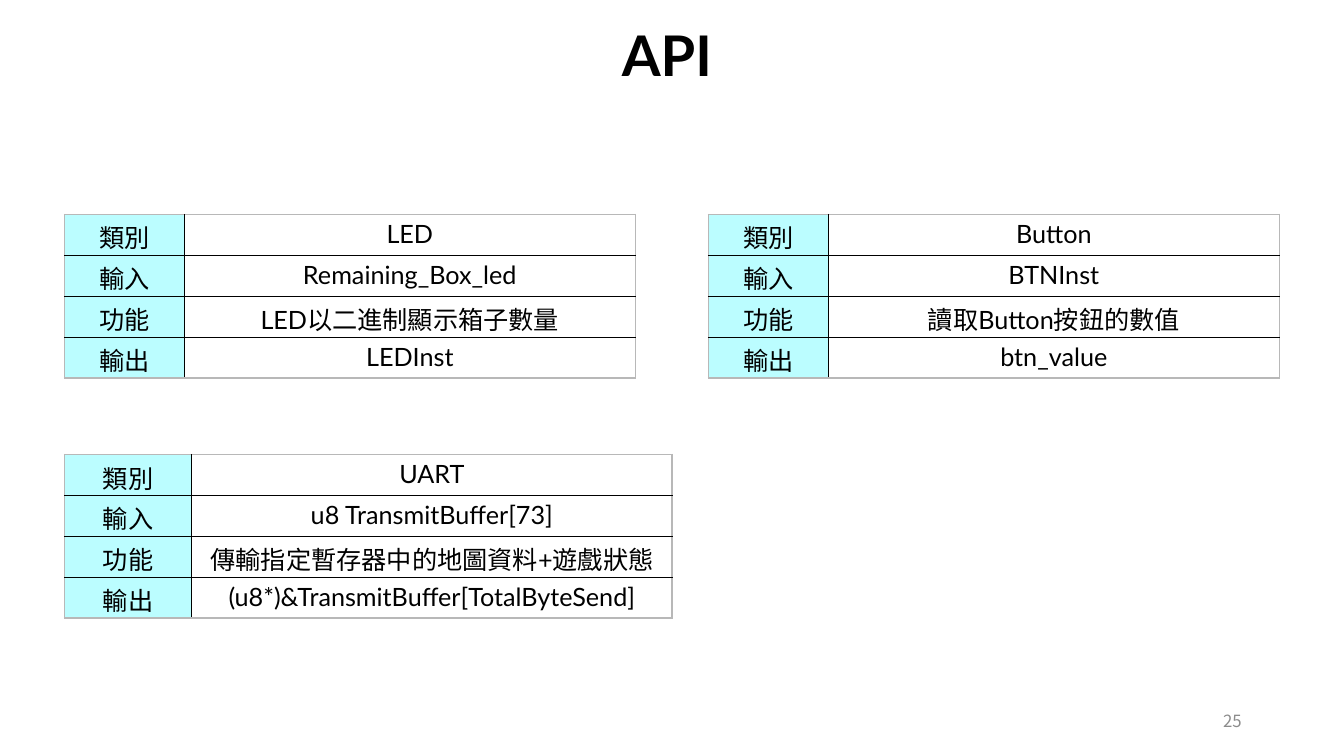
from lxml import etree
from pptx import Presentation
from pptx import util as u
from pptx.dml.color import RGBColor
from pptx.enum import text
from pptx.oxml import ns

COLORS = {"ink": "000000", "page_number": "8C8C8C", "label": "BBFDFF",
          "paper": "FFFFFF", "rim": "B8B8B8"}
LATIN, CJK = "Lato", "Noto Sans CJK TC"
LABELS = ("類別", "輸入", "功能", "輸出")
ROW_HEIGHT = 29.2
FRAME = {"margin_left": u.Pt(7.2), "margin_right": u.Pt(7.2),
         "margin_top": u.Pt(3.6), "margin_bottom": u.Pt(3.6),
         "vertical_anchor": text.MSO_ANCHOR.MIDDLE}
CELL = {"margin_left": u.Pt(6), "margin_right": u.Pt(6),
        "margin_top": u.Pt(3), "margin_bottom": 0,
        "vertical_anchor": text.MSO_ANCHOR.TOP}
APIS = (
    (46, 153.2, (85.5, 322.5),
     ("LED", "Remaining_Box_led", "LED以二進制顯示箱子數量", "LEDInst")),
    (506, 153.2, (85.5, 322.5),
     ("Button", "BTNInst", "讀取Button按鈕的數值", "btn_value")),
    (46, 324.7, (91, 343),
     ("UART", "u8 TransmitBuffer[73]", "傳輸指定暫存器中的地圖資料+遊戲狀態",
      "(u8*)&TransmitBuffer[TotalByteSend]")),
)


def apply_format(target, values):
    """Set every attribute in values on target."""
    for name, value in values.items():
        setattr(target, name, value)


def write(frame, words, align, size, color="ink", latin=LATIN, bold=False):
    """Write one formatted paragraph into a text frame."""
    paragraph = frame.paragraphs[0]
    paragraph.alignment = align
    run = paragraph.add_run()
    run.text = words
    apply_format(run.font, {"name": latin, "size": u.Pt(size), "bold": bold})
    run.font.color.rgb = RGBColor.from_string(COLORS[color])
    east_asian = etree.SubElement(run.font._element, ns.qn("a:ea"))
    east_asian.set("typeface", CJK)


def add_borders(cell, edge_colors):
    """Draw the left, right, top and bottom borders of a cell."""
    properties = cell._tc.get_or_add_tcPr()
    for index, (side, color) in enumerate(zip("LRTB", edge_colors)):
        line = etree.Element(ns.qn(f"a:ln{side}"), w=str(u.Pt(1)))
        fill = etree.SubElement(line, ns.qn("a:solidFill"))
        etree.SubElement(fill, ns.qn("a:srgbClr"), val=COLORS[color])
        properties.insert(index, line)


def add_title(slide, words):
    """Place the slide title."""
    title = slide.shapes.title
    apply_format(title, {"left": u.Pt(437), "top": u.Pt(10.8),
                         "width": u.Pt(85), "height": u.Pt(55.4)})
    apply_format(title.text_frame, {
        **FRAME, "word_wrap": False, "auto_size": text.MSO_AUTO_SIZE.NONE})
    write(title.text_frame, words, text.PP_ALIGN.LEFT, 40, bold=True)


def add_page_number(slide, number):
    """Place the page number at the lower right."""
    page = slide.shapes.add_textbox(u.Pt(678), u.Pt(500.4), u.Pt(216), u.Pt(28.8))
    apply_format(page.text_frame, {**FRAME, "word_wrap": True})
    write(page.text_frame, number, text.PP_ALIGN.RIGHT, 12, "page_number", CJK)


def add_api_table(slide, left, top, widths, entries):
    """Add one table of labels and API entries."""
    count = len(LABELS)
    table = slide.shapes.add_table(
        count, 2, u.Pt(left), u.Pt(top),
        u.Pt(sum(widths)), u.Pt(ROW_HEIGHT * count)).table
    apply_format(table, {"first_row": False, "horz_banding": False})
    for column, width in zip(table.columns, widths):
        column.width = u.Pt(width)
    for row, pair in enumerate(zip(LABELS, entries)):
        table.rows[row].height = u.Pt(ROW_HEIGHT)
        for column, words in enumerate(pair):
            cell = table.cell(row, column)
            apply_format(cell, CELL)
            cell.fill.solid()
            fill = "paper" if column else "label"
            cell.fill.fore_color.rgb = RGBColor.from_string(COLORS[fill])
            outside = (column == 0, column == 1, row == 0, row == count - 1)
            add_borders(cell, ["rim" if edge else "ink" for edge in outside])
            write(cell.text_frame, words, text.PP_ALIGN.CENTER, 18)


def main():
    """Build and save the API slide."""
    deck = Presentation()
    apply_format(deck, {"slide_width": u.Pt(960), "slide_height": u.Pt(540)})
    slide = deck.slides.add_slide(deck.slide_layouts[5])
    add_page_number(slide, "25")
    add_title(slide, "API")
    for api in APIS:
        add_api_table(slide, *api)
    deck.save("out.pptx")


if __name__ == "__main__":
    main()
